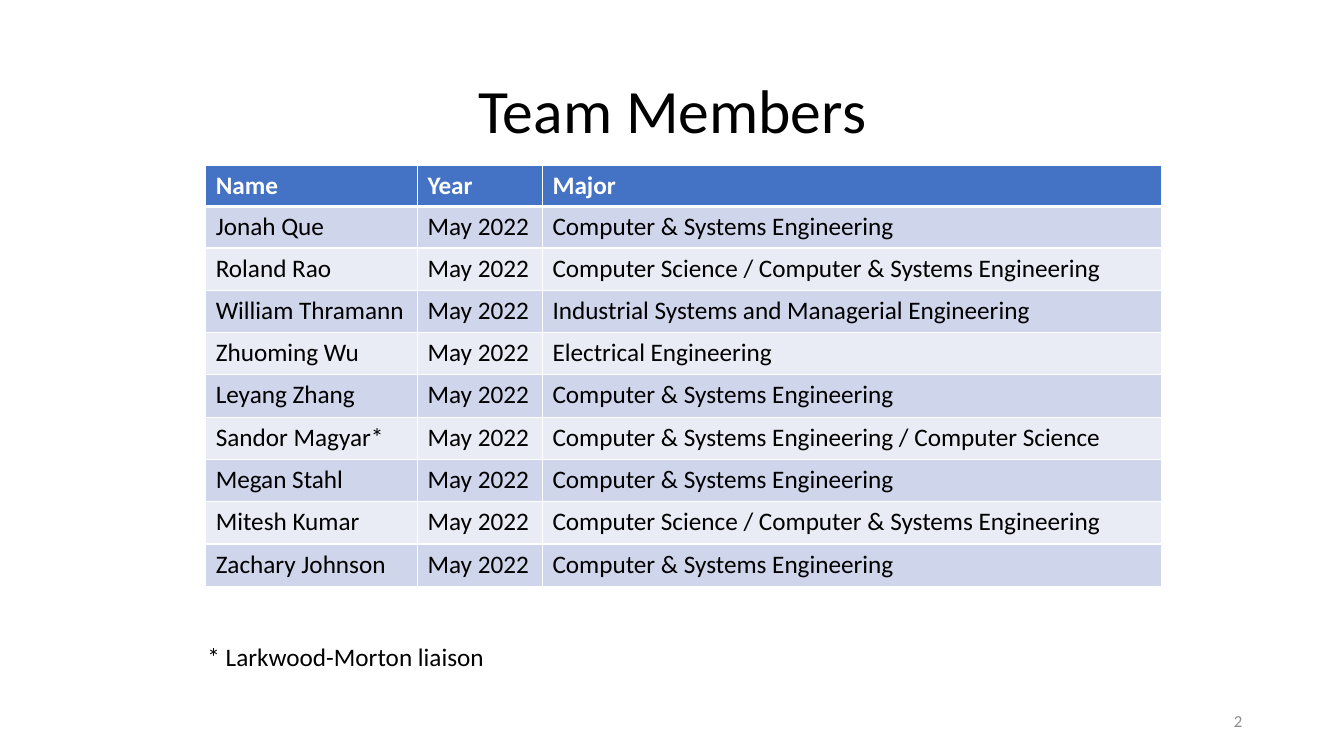
from dataclasses import dataclass

from lxml import etree
from pptx import Presentation
from pptx.dml.color import RGBColor
from pptx.enum.text import MSO_ANCHOR, PP_ALIGN
from pptx.oxml.ns import qn
from pptx.util import Inches, Pt


@dataclass(frozen=True)
class Theme:
    font: str = "Calibri"
    ink: str = "000000"
    white: str = "FFFFFF"
    muted: str = "8C8C8C"
    header: str = "4472C4"
    bands: tuple = ("CFD5EA", "E9EBF5")
    title_size: int = 44
    body_size: int = 18
    number_size: int = 12
    rule: int = 1
    header_rule: int = 3


THEME = Theme()
YEAR = "May 2022"
SYSTEMS = "Computer & Systems Engineering"
SCIENCE = "Computer Science"
HEADINGS = ("Name", "Year", "Major")
MEMBERS = (
    ("Jonah Que", SYSTEMS),
    ("Roland Rao", f"{SCIENCE} / {SYSTEMS}"),
    ("William Thramann", "Industrial Systems and Managerial\u00a0Engineering\u00a0"),
    ("Zhuoming Wu", "Electrical Engineering"),
    ("Leyang Zhang", SYSTEMS),
    ("Sandor Magyar*", f"{SYSTEMS} / {SCIENCE}"),
    ("Megan Stahl", SYSTEMS),
    ("Mitesh Kumar", f"{SCIENCE} / {SYSTEMS}"),
    ("Zachary Johnson", SYSTEMS),
)


def write(frame, text, size, color, bold=False, align=PP_ALIGN.LEFT, spacing=1.0):
    paragraph = frame.paragraphs[0]
    paragraph.alignment = align
    paragraph.line_spacing = spacing
    run = paragraph.add_run()
    run.text = text
    run.font.name = THEME.font
    run.font.size = Pt(size)
    run.font.bold = bold
    run.font.color.rgb = RGBColor.from_string(color)


def add_text(slide, box, text, size, color, anchor=MSO_ANCHOR.TOP, **style):
    frame = slide.shapes.add_textbox(*map(Inches, box)).text_frame
    frame.word_wrap = True
    frame.vertical_anchor = anchor
    write(frame, text, size, color, **style)


def set_borders(cell, widths):
    properties = cell._tc.get_or_add_tcPr()
    for index, (side, width) in enumerate(widths.items()):
        line = etree.Element(qn(f"a:{side}"), w=str(Pt(width)))
        fill = etree.SubElement(line, qn("a:solidFill"))
        etree.SubElement(fill, qn("a:srgbClr"), val=THEME.white)
        properties.insert(index, line)


def add_title(slide, box):
    add_text(slide, box, "Team Members", THEME.title_size, THEME.ink,
             anchor=MSO_ANCHOR.MIDDLE, align=PP_ALIGN.CENTER, spacing=0.9)


def add_members(slide, box):
    rows = [HEADINGS] + [(name, YEAR, major) for name, major in MEMBERS]
    table = slide.shapes.add_table(len(rows), len(HEADINGS), *map(Inches, box)).table
    name_width, year_width = 2.1, 1.24
    widths = (name_width, year_width, box[2] - name_width - year_width)
    for column, width in zip(table.columns, widths):
        column.width = Inches(width)
    for index, values in enumerate(rows):
        is_header = index == 0
        table.rows[index].height = Inches(0.41 if index < 2 else 0.42)
        fill = THEME.header if is_header else THEME.bands[(index - 1) % 2]
        borders = {
            "lnL": THEME.rule,
            "lnR": THEME.rule,
            "lnT": THEME.header_rule if index == 1 else THEME.rule,
            "lnB": THEME.header_rule if is_header else THEME.rule,
        }
        for cell, value in zip(table.rows[index].cells, values):
            cell.fill.solid()
            cell.fill.fore_color.rgb = RGBColor.from_string(fill)
            set_borders(cell, borders)
            write(cell.text_frame, value, THEME.body_size,
                  THEME.white if is_header else THEME.ink, bold=is_header)


def add_footnote(slide, box):
    add_text(slide, box, "* Larkwood-Morton liaison", THEME.body_size, THEME.ink)


def add_slide_number(slide, box):
    add_text(slide, box, "2", THEME.number_size, THEME.muted,
             anchor=MSO_ANCHOR.MIDDLE, align=PP_ALIGN.RIGHT)


def build_team_slide(presentation):
    slide = presentation.slides.add_slide(presentation.slide_layouts[6])
    add_title(slide, (0.92, 0.4, 11.5, 1.45))
    add_members(slide, (2.04, 1.64, 9.48, 4.14))
    add_footnote(slide, (1.96, 6.31, 6.03, 0.4))
    add_slide_number(slide, (9.42, 6.95, 3, 0.4))


presentation = Presentation()
presentation.slide_width = Inches(13.33)
presentation.slide_height = Inches(7.5)
build_team_slide(presentation)
presentation.save("out.pptx")
